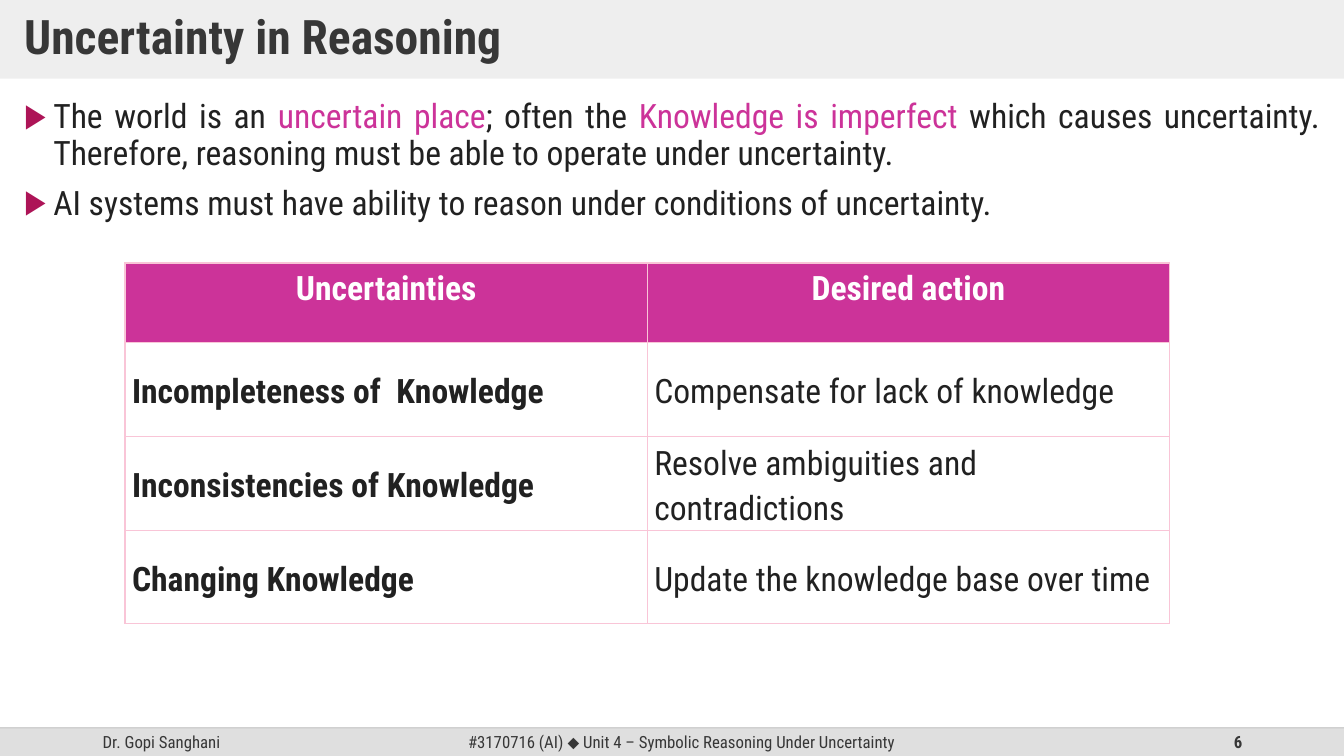
from lxml.etree import SubElement
from pptx import Presentation
from pptx.dml.color import RGBColor
from pptx.enum.shapes import MSO_CONNECTOR, MSO_SHAPE
from pptx.enum.text import MSO_ANCHOR, PP_ALIGN
from pptx.oxml.ns import qn
from pptx.util import Pt

SCALE = 9144
INK = {
    "band": "DFDFDF", "rule": "BFBFBF", "head": "373737", "text": "212121",
    "pink": "CC3399", "mark": "AD1457", "grid": "F9C5D7", "white": "FFFFFF",
}


class Deck:
    """Hold the style and the current slide, and draw each kind of element."""

    font = "Roboto Condensed"

    def __init__(self, wide, high):
        self.deck = Presentation()
        self.deck.slide_width = wide * SCALE
        self.deck.slide_height = high * SCALE
        self.slide = self.deck.slides.add_slide(self.deck.slide_layouts[6])
        self.shapes = self.slide.shapes

    def place(self, *box):
        return [n * SCALE for n in box]

    def paint(self, fill, ink, alpha=100):
        fill.solid()
        fill.fore_color.rgb = RGBColor.from_string(INK[ink])
        if alpha < 100:
            for tone in fill._xPr.iter(qn("a:srgbClr")):
                SubElement(tone, qn("a:alpha"), val=str(alpha * 1000))

    def text(self, para, runs, size, ink, bold=False, align=PP_ALIGN.LEFT, lead=1.0):
        para.alignment = align
        para.line_spacing = lead
        for words, *style in runs:
            run = para.add_run()
            run.text = words
            tint, face = (style + [None, None])[:2]
            run.font.size = Pt(size)
            run.font.bold = bold
            run.font.name = face or self.font
            run.font.color.rgb = RGBColor.from_string(INK[tint or ink])

    def rect(self, box, ink, alpha=100):
        shape = self.shapes.add_shape(MSO_SHAPE.RECTANGLE, *self.place(*box))
        shape.shadow.inherit = False
        self.paint(shape.fill, ink, alpha)
        shape.line.fill.background()
        return shape

    def title(self, box, words):
        shape = self.rect(box, "band", 50)
        frame = shape.text_frame
        frame.margin_left = frame.margin_right = 24 * SCALE
        frame.margin_top = frame.margin_bottom = 12 * SCALE
        frame.vertical_anchor = MSO_ANCHOR.MIDDLE
        self.text(frame.paragraphs[0], [(words,)], 34, "head", True, lead=0.9)

    def frame(self, box, anchor):
        frame = self.shapes.add_textbox(*self.place(*box)).text_frame
        frame.word_wrap = True
        frame.vertical_anchor = anchor
        return frame

    def label(self, box, runs, align, bold=False):
        frame = self.frame(box, MSO_ANCHOR.MIDDLE)
        self.text(frame.paragraphs[0], runs, 12, "head", bold, align)

    def points(self, box, items):
        frame = self.frame(box, MSO_ANCHOR.TOP)
        for i, runs in enumerate(items):
            para = frame.add_paragraph() if i else frame.paragraphs[0]
            self.text(para, runs, 24, "text", align=PP_ALIGN.JUSTIFY, lead=0.9)
            para.space_before = Pt(10)
            props = para._p.get_or_add_pPr()
            props.set("marL", str(29 * SCALE))
            props.set("indent", str(-29 * SCALE))
            tone = SubElement(props, qn("a:buClr"))
            SubElement(tone, qn("a:srgbClr"), val=INK["mark"])
            SubElement(props, qn("a:buFont"), typeface="Arial")
            SubElement(props, qn("a:buChar"), char="▶")

    def line(self, start, end, ink, alpha):
        line = self.shapes.add_connector(
            MSO_CONNECTOR.STRAIGHT, *self.place(*start, *end))
        line.line.width = Pt(1)
        self.paint(line.line.fill, ink, alpha)
        SubElement(line._element.spPr, qn("a:effectLst"))

    def border(self, cell):
        props = cell._tc.get_or_add_tcPr()
        for side in ("lnL", "lnR", "lnT", "lnB"):
            edge = SubElement(props, qn("a:" + side), w=str(Pt(1)))
            fill = SubElement(edge, qn("a:solidFill"))
            SubElement(fill, qn("a:srgbClr"), val=INK["grid"])

    def table(self, left, top, cols, highs, rows):
        box = self.place(left, top, sum(cols), sum(highs))
        table = self.shapes.add_table(len(rows), len(cols), *box).table
        table.horz_banding = False
        for col, wide in zip(table.columns, cols):
            col.width = wide * SCALE
        for r, texts in enumerate(rows):
            table.rows[r].height = highs[r] * SCALE
            for c, words in enumerate(texts):
                self.cell(table.cell(r, c), words, r == 0, c == 0)

    def cell(self, cell, words, head, first):
        cell.margin_left = cell.margin_right = 7 * SCALE
        cell.margin_top = cell.margin_bottom = 0
        cell.vertical_anchor = MSO_ANCHOR.TOP if head else MSO_ANCHOR.MIDDLE
        self.border(cell)
        if head:
            self.paint(cell.fill, "pink")
        else:
            cell.fill.background()
        self.text(cell.text_frame.paragraphs[0], [(words,)], 24,
                  "white" if head else "text", head or first,
                  PP_ALIGN.CENTER if head else PP_ALIGN.LEFT, 1.15)


def main():
    wide, high, foot = 1333, 750, 28
    base = high - foot
    deck = Deck(wide, high)
    deck.rect((0, base, wide, foot), "band")
    deck.label((92, base, 300, foot), [("Dr. Gopi Sanghani",)], PP_ALIGN.LEFT)
    deck.label((442, base, 468, foot), [
        ("#3170716 (AI) ",),
        ("⬥", "head", "Arial"),
        (" Unit 4 – Symbolic Reasoning Under Uncertainty",),
    ], PP_ALIGN.CENTER)
    deck.label((942, base, 300, foot), [("6",)], PP_ALIGN.RIGHT, True)
    deck.line((0, base), (wide, base), "rule", 70)
    deck.title((0, 0, wide, 78), "Uncertainty in Reasoning")
    deck.points((14, 94, 1305, 611), [
        [
            ("The world is an ",),
            ("uncertain place", "pink"),
            ("; often the ",),
            ("Knowledge is imperfect ", "pink"),
            ("which causes uncertainty. Therefore, reasoning must be able "
             "to operate under uncertainty.",),
        ],
        [("AI systems must have ability to reason under conditions of "
          "uncertainty.",)],
    ])
    deck.table(124, 261, [518] * 2, [79] + [93] * 3, [
        ("Uncertainties", "Desired action"),
        ("Incompleteness of  Knowledge", "Compensate for lack of knowledge"),
        ("Inconsistencies of Knowledge", "Resolve ambiguities and contradictions"),
        ("Changing Knowledge", "Update the knowledge base over time"),
    ])
    deck.deck.save("out.pptx")


if __name__ == "__main__":
    main()
